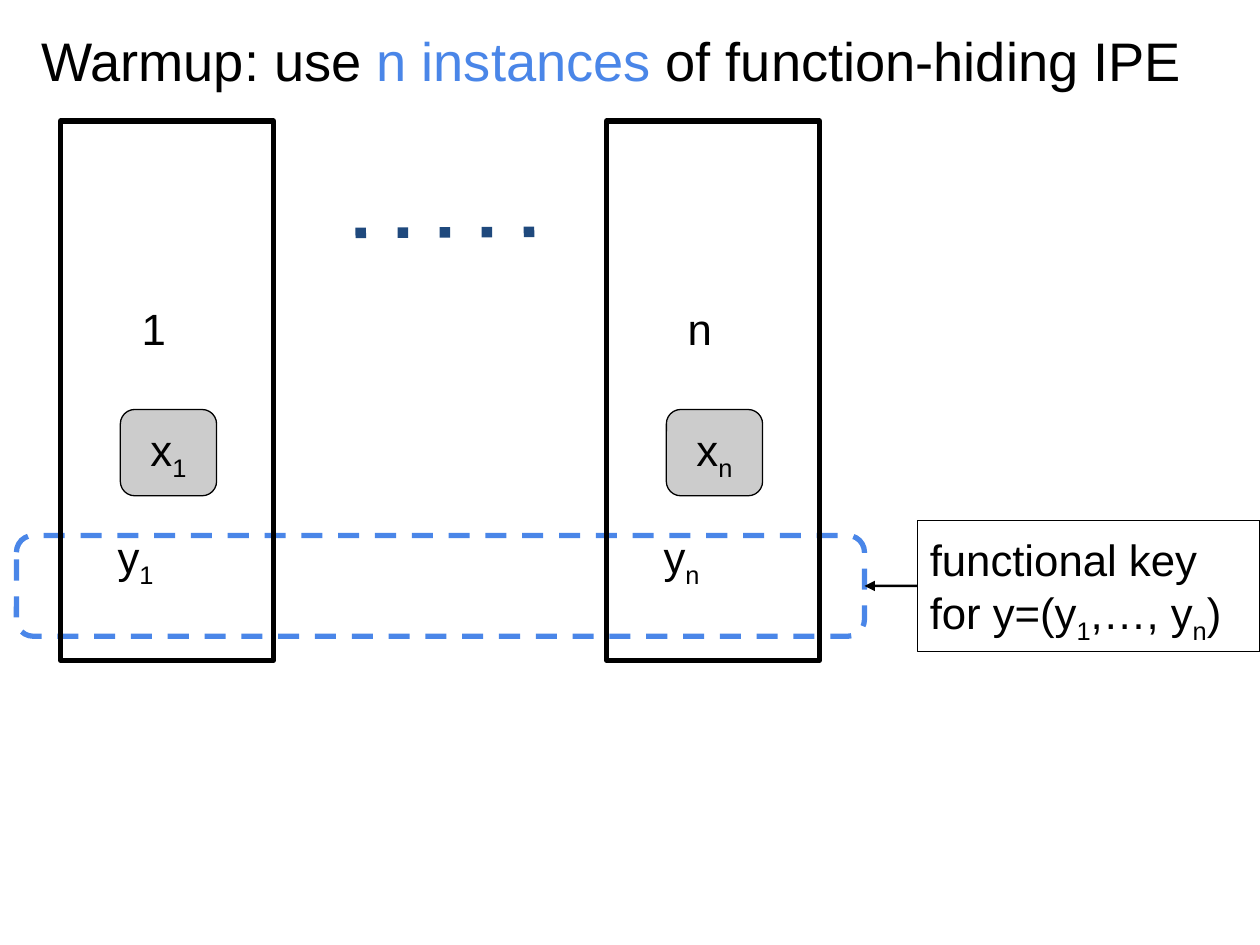
from lxml import etree
from pptx import Presentation
from pptx.dml.color import RGBColor
from pptx.enum import shapes, text
from pptx.oxml import ns
from pptx.util import Pt

BLACK = RGBColor(0x00, 0x00, 0x00)
BLUE = RGBColor(0x4A, 0x86, 0xE8)
NAVY = RGBColor(0x1F, 0x49, 0x7D)
GREY = RGBColor(0xCC, 0xCC, 0xCC)

TITLE = [("Warmup: use ", BLACK), ("n instances", BLUE), (" of function-hiding IPE", BLACK)]
INSTANCES = ["1", "n"]
KEY = [("functional key for y=(y", 0), ("1", 1), (",…, y", 0), ("n", 1), (")", 0)]
INSTANCE_LEFT, INSTANCE_STEP = 34.6, 312
RECT, ROUND = shapes.MSO_SHAPE.RECTANGLE, shapes.MSO_SHAPE.ROUNDED_RECTANGLE
LEFT, CENTER = text.PP_ALIGN.LEFT, text.PP_ALIGN.CENTER
TOP, MIDDLE = text.MSO_ANCHOR.TOP, text.MSO_ANCHOR.MIDDLE

prs = Presentation()
prs.slide_width, prs.slide_height = Pt(720), Pt(540)
s = prs.slides.add_slide(prs.slide_layouts[6])


def add_line_part(sp, tag, **values):
    ln = sp._element.spPr.find(ns.qn("a:ln"))
    etree.SubElement(ln, ns.qn(tag), values)


def add_box(kind, box, width, line=BLACK, fill=None):
    sp = s.shapes.add_shape(kind, *map(Pt, box))
    sp.shadow.inherit = False
    sp.line.color.rgb, sp.line.width = line, Pt(width)
    if fill is None:
        sp.fill.background()
    else:
        sp.fill.solid()
        sp.fill.fore_color.rgb = fill
    return sp


def add_line(start, end, color, width):
    sp = s.shapes.add_connector(shapes.MSO_CONNECTOR.STRAIGHT, *map(Pt, start + end))
    sp.line.color.rgb, sp.line.width = color, Pt(width)
    etree.SubElement(sp._element.spPr, ns.qn("a:effectLst"))
    return sp


def write(sp, runs, align=CENTER, anchor=MIDDLE, size=25):
    tf = sp.text_frame
    frame = dict(word_wrap=True, vertical_anchor=anchor, margin_left=Pt(7.2),
                 margin_right=Pt(7.2), margin_top=Pt(7.2), margin_bottom=Pt(7.2))
    for name, value in frame.items():
        setattr(tf, name, value)
    p = tf.paragraphs[0]
    p.alignment = align
    for words, sub, color in runs:
        r = p.add_run()
        r.text = words
        r.font.name, r.font.size, r.font.color.rgb = "Arial", Pt(size), color
        if sub:
            r._r.get_or_add_rPr().set("baseline", "-25000")


def add_text(box, runs, **style):
    write(s.shapes.add_textbox(*map(Pt, box)), runs, **style)


def indexed(letter, index):
    return [(letter, False, BLACK), (index, True, BLACK)]


key_group = add_box(ROUND, (9.4, 306, 484.6, 57.6), 3, BLUE)
add_line_part(key_group, "a:prstDash", val="dash")
add_text((16.6, 8.6, 703.4, 57.6), [(t, False, c) for t, c in TITLE],
         align=LEFT, anchor=TOP, size=31)
dots = add_line((305.3, 132.5), (197.3, 133.2), NAVY, 6)
add_line_part(dots, "a:prstDash", val="dot")

for i, index in enumerate(INSTANCES):
    x = INSTANCE_LEFT + i * INSTANCE_STEP
    add_box(RECT, (x, 69.1, 121.7, 308.2), 3)
    write(add_box(ROUND, (x + 34.2, 234, 55, 49.3), 0.75, fill=GREY), indexed("x", index))
    add_text((x + 22, 297.4, 41.8, 44.6), indexed("y", index))
    add_text((x + 32.4, 164.9, 41.8, 44.6), [(index, False, BLACK)])

key = add_box(RECT, (524.2, 297.4, 195.8, 74.8), 0.75)
write(key, [(t, sub, BLACK) for t, sub in KEY], align=LEFT, anchor=TOP)
arrow = add_line((524.2, 334.8), (494, 334.8), BLACK, 1.5)
arrow.begin_connect(key, 1)
arrow.end_connect(key_group, 3)
add_line_part(arrow, "a:tailEnd", type="triangle")

prs.save("out.pptx")
